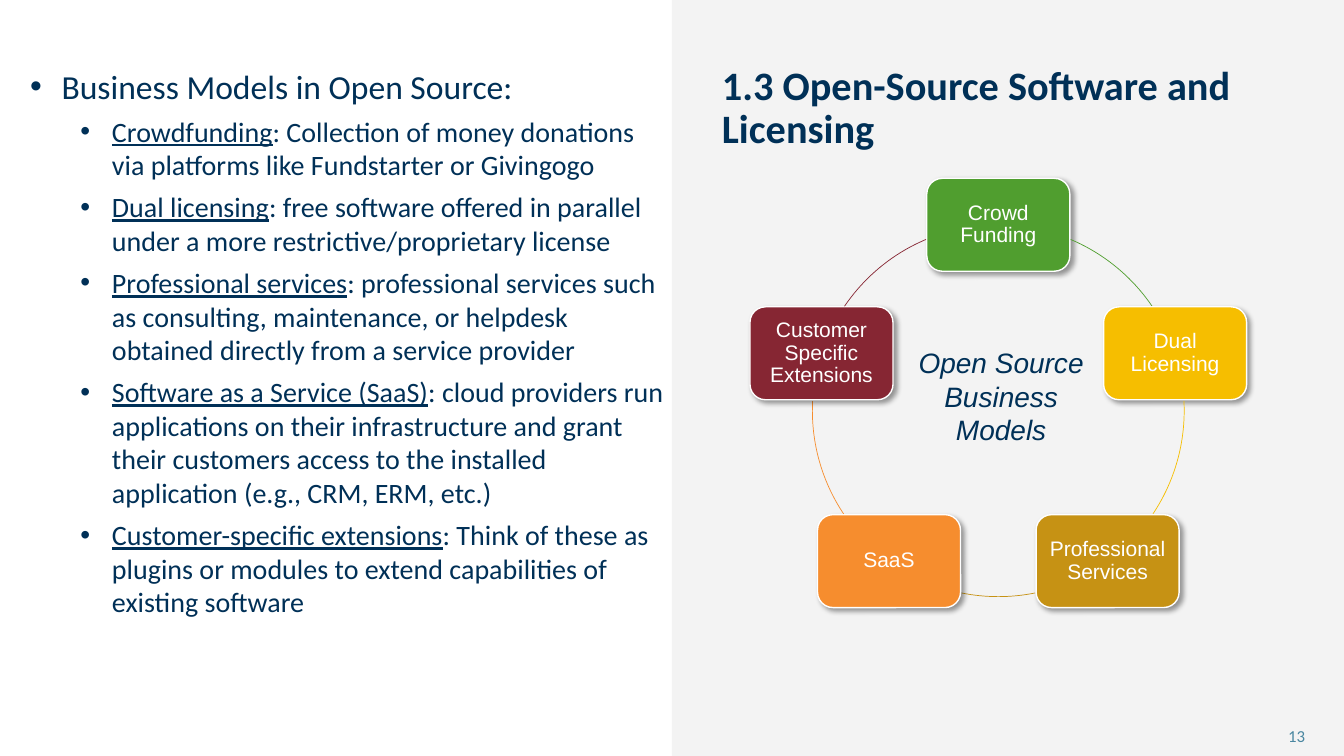
import math
from lxml import etree
from pptx import Presentation
from pptx.dml.color import RGBColor
from pptx.enum.shapes import MSO_SHAPE
from pptx.enum.text import MSO_ANCHOR, MSO_AUTO_SIZE, PP_ALIGN
from pptx.oxml import parse_xml
from pptx.oxml.ns import nsdecls, qn
from pptx.util import Pt

RECTANGLE, ROUNDED, ARC = MSO_SHAPE.RECTANGLE, MSO_SHAPE.ROUNDED_RECTANGLE, MSO_SHAPE.ARC
TOP, MIDDLE = MSO_ANCHOR.TOP, MSO_ANCHOR.MIDDLE
LEFT, CENTER = PP_ALIGN.LEFT, PP_ALIGN.CENTER
NO_AUTOFIT = MSO_AUTO_SIZE.NONE

COLORS = {
    "navy": "003057", "teal": "4986A0", "panel": "F3F3F3", "white": "FFFFFF",
    "green": "509E2F", "yellow": "F6BE00", "ochre": "C69214",
    "orange": "F68D2E", "maroon": "862633", "shadow": "000000",
}

MODELS = [
    ("Crowdfunding", ": Collection of money donations via platforms like\u00a0Fundstarter or Givingogo"),
    ("Dual licensing", ": free software offered in parallel under a more restrictive/proprietary license"),
    ("Professional services", ": professional services such as consulting, maintenance, or helpdesk "
                              "obtained directly from a service provider"),
    ("Software as a Service\u00a0(SaaS)", ": cloud providers run applications on their infrastructure and grant "
                                     "their customers access to the installed application (e.g., CRM, ERM, etc.)"),
    ("Customer-specific extensions", ": Think of these as plugins or modules to extend capabilities "
                                     "of existing software"),
]

CYCLE = [
    ("Crowd Funding", "green", 292.9, 325.8),
    ("Dual Licensing", "yellow", 357, 33.7),
    ("Professional Services", "ochre", 78.6, 101.4),
    ("SaaS", "orange", 146.3, 183),
    ("Customer Specific Extensions", "maroon", 214.2, 247.1),
]


def color(name):
    return RGBColor.from_string(COLORS[name])


def add_run(paragraph, text, size, tint, font="Calibri", bold=False, italic=False, underline=False):
    run = paragraph.add_run()
    run.text = text
    run.font.name = font
    run.font.size = Pt(size)
    run.font.color.rgb = color(tint)
    run.font.bold = bold
    run.font.italic = italic
    run.font.underline = underline


def add_text_frame(slide, box):
    frame = slide.shapes.add_textbox(*map(Pt, box)).text_frame
    frame.word_wrap = True
    return frame


def set_bullet(paragraph, margin, hanging):
    properties = paragraph._p.get_or_add_pPr()
    properties.set("marL", str(Pt(margin)))
    properties.set("indent", str(-Pt(hanging)))
    font = etree.SubElement(properties, qn("a:buFont"))
    font.set("typeface", "Arial")
    etree.SubElement(properties, qn("a:buChar")).set("char", "•")


def add_soft_shadow(shape):
    shape._element.spPr.append(parse_xml(
        f'<a:effectLst {nsdecls("a")}><a:outerShdw blurRad="{Pt(4)}" dist="{Pt(3)}" '
        f'dir="{45 * 60000}" algn="tl" rotWithShape="0"><a:srgbClr val="{COLORS["shadow"]}">'
        '<a:alpha val="40000"/></a:srgbClr></a:outerShdw></a:effectLst>'))


def add_panel(slide, box):
    panel = slide.shapes.add_shape(RECTANGLE, *map(Pt, box))
    panel.shadow.inherit = False
    panel.fill.solid()
    panel.fill.fore_color.rgb = color("panel")
    panel.line.fill.background()
    slide.shapes._spTree.insert(2, panel._element)


def add_title(slide, box):
    title = slide.shapes.title
    title.left, title.top, title.width, title.height = map(Pt, box)
    frame = title.text_frame
    frame.auto_size = NO_AUTOFIT
    frame.vertical_anchor = TOP
    heading = frame.paragraphs[0]
    heading.alignment = LEFT
    heading.line_spacing = 0.9
    heading.space_before = Pt(0)
    add_run(heading, "1.3 Open-Source Software and Licensing", 28.8, "navy", bold=True)


def add_models(slide, box):
    frame = add_text_frame(slide, box)
    lead = frame.paragraphs[0]
    lead.space_after = Pt(6)
    set_bullet(lead, 22.5, 22.5)
    add_run(lead, "Business Models in Open Source:", 24, "navy")
    for term, explanation in MODELS:
        model = frame.add_paragraph()
        model.level = 1
        model.space_after = Pt(6)
        set_bullet(model, 58.5, 22.5)
        add_run(model, term, 20, "navy", underline=True)
        add_run(model, explanation, 20, "navy")


def add_node(slide, box, label, tint):
    node = slide.shapes.add_shape(ROUNDED, *map(Pt, box))
    node.fill.solid()
    node.fill.fore_color.rgb = color(tint)
    node.line.color.rgb = color("white")
    node.line.width = Pt(1)
    add_soft_shadow(node)
    frame = node.text_frame
    frame.word_wrap = True
    frame.vertical_anchor = MIDDLE
    frame.margin_left = frame.margin_right = frame.margin_top = frame.margin_bottom = Pt(4)
    caption = frame.paragraphs[0]
    caption.alignment = CENTER
    caption.line_spacing = 0.9
    add_run(caption, label, 15, "white", font="Arial")


def add_link(slide, box, start, end, tint):
    link = slide.shapes.add_shape(ARC, *map(Pt, box))
    link.shadow.inherit = False
    link.fill.background()
    link.line.color.rgb = color(tint)
    link.line.width = Pt(0.5)
    link.adjustments[0] = start * 0.6
    link.adjustments[1] = end * 0.6


def add_cycle(slide, box):
    left, top, diameter, _ = box
    radius = diameter / 2
    center_x, center_y = left + radius, top + radius
    node_width, node_height = 102.2, 66.4
    for index, (label, tint, start, end) in enumerate(CYCLE):
        angle = math.radians(index * 360 / len(CYCLE) - 90)
        node_left = center_x + radius * math.cos(angle) - node_width / 2
        node_top = center_y + radius * math.sin(angle) - node_height / 2
        add_node(slide, (node_left, node_top, node_width, node_height), label, tint)
        add_link(slide, box, start, end, tint)
    hub = add_text_frame(slide, (center_x - 71, center_y - 50, 146, 80)).paragraphs[0]
    hub.alignment = CENTER
    add_run(hub, "Open Source", 20, "navy", font="Arial", italic=True)
    hub.add_line_break()
    add_run(hub, "Business Models", 20, "navy", font="Arial", italic=True)


def add_page_number(slide, box):
    frame = add_text_frame(slide, box)
    frame.vertical_anchor = MIDDLE
    add_run(frame.paragraphs[0], "13", 12, "teal")


def main():
    deck = Presentation()
    deck.slide_width, deck.slide_height = Pt(960), Pt(540)
    slide = deck.slides.add_slide(deck.slide_layouts[5])
    add_panel(slide, (480, 0, 480, 540))
    add_title(slide, (508.5, 43.2, 409, 48.2))
    add_page_number(slide, (913, 511.2, 47, 28.8))
    add_models(slide, (14.4, 43.2, 468.7, 406))
    add_cycle(slide, (580.3, 160.6, 265.6, 265.6))
    deck.save("out.pptx")


if __name__ == "__main__":
    main()
